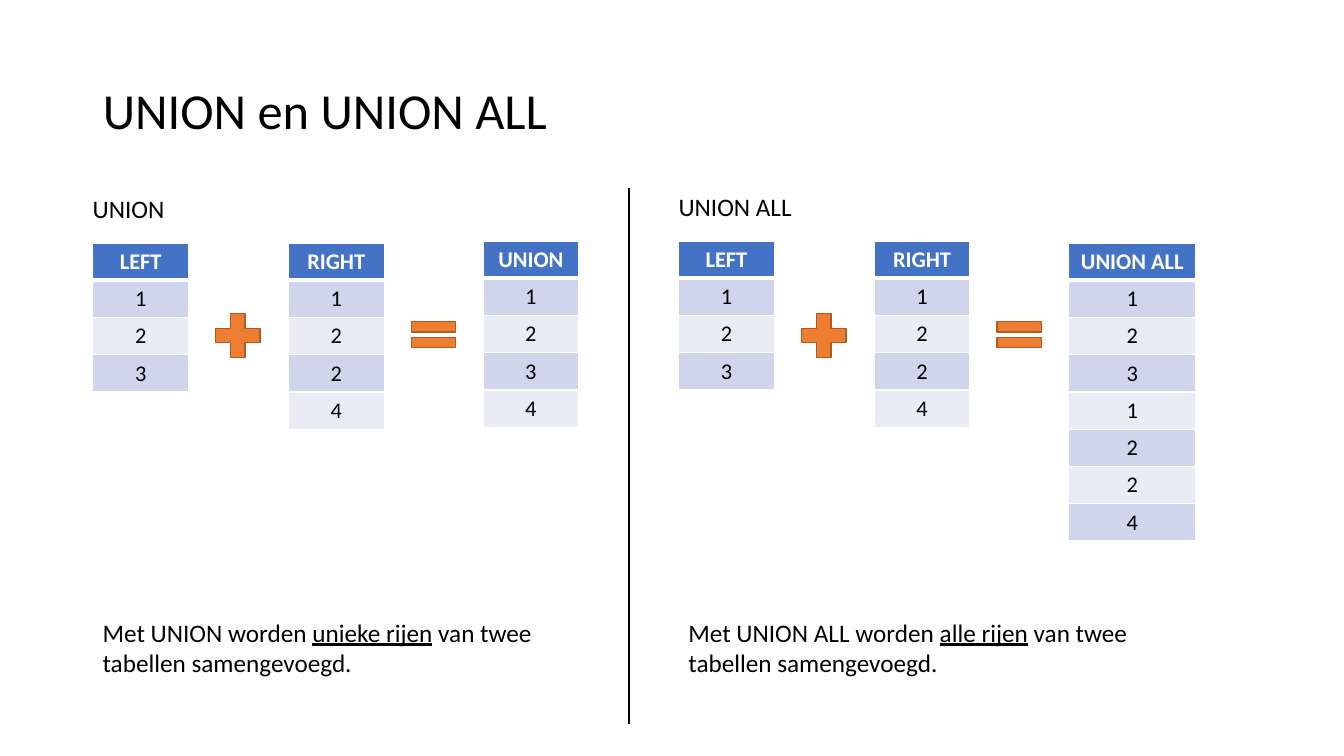
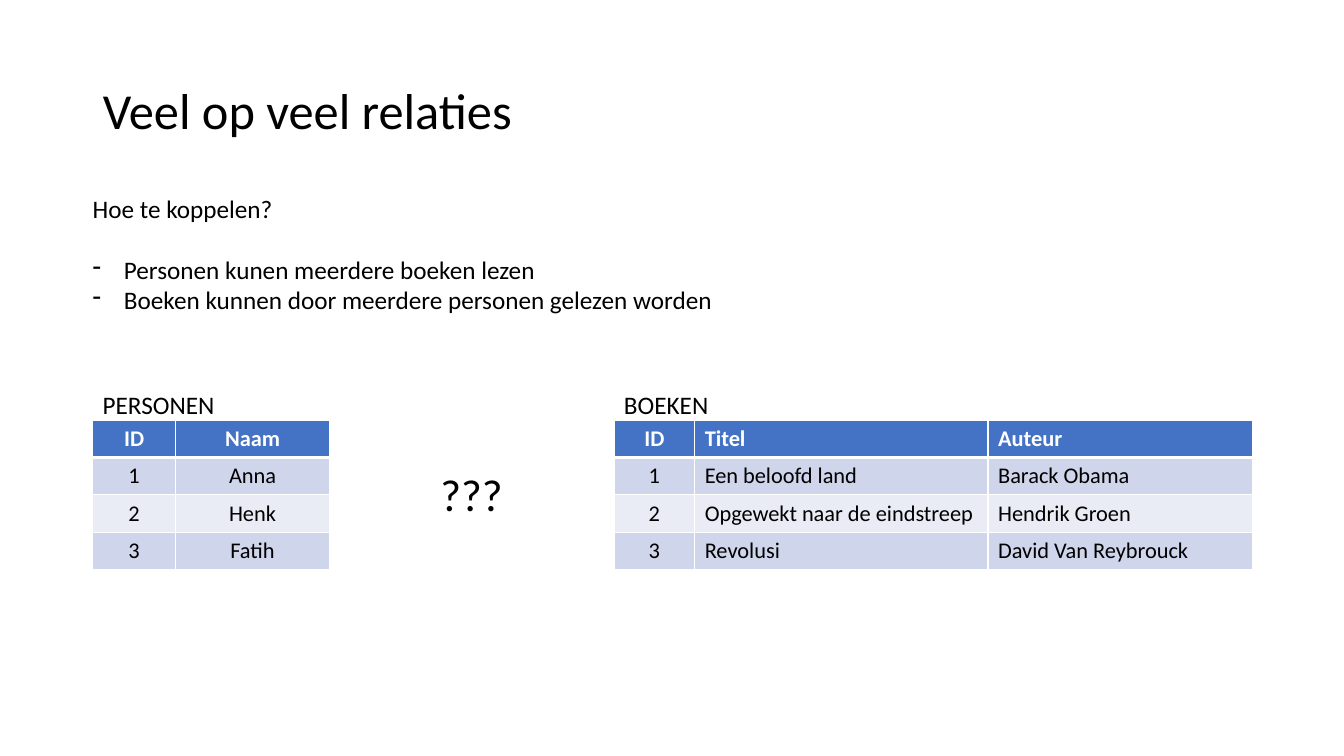
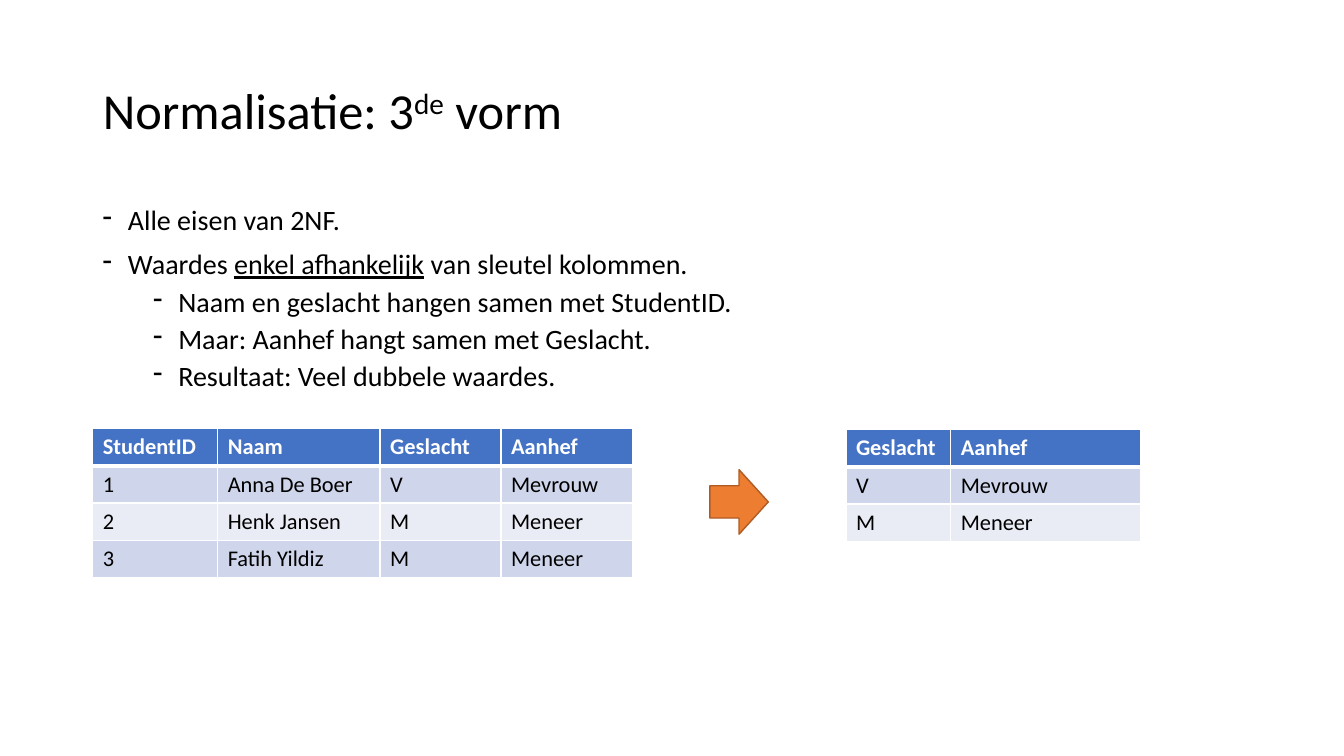
from lxml import etree
from pptx import Presentation
from pptx import util as u
from pptx.dml.color import RGBColor
from pptx.enum import shapes, text
from pptx.oxml import ns

FONT = "Calibri"
BLACK, WHITE = "000000", "FFFFFF"
HEADER, ODD_ROW, EVEN_ROW = "4472C4", "CFD5EA", "E9EBF5"
ORANGE, ORANGE_EDGE = "ED7D31", "AF5C24"
LEFT_EDGE, ROW_HEIGHT = 0.92, 0.37
ALIGN = {"l": text.PP_ALIGN.LEFT, "c": text.PP_ALIGN.CENTER}


def color(hex_value):
    return RGBColor.from_string(hex_value)


def inches(*values):
    return [u.Inches(value) for value in values]


class Deck:
    def __init__(self):
        self.prs = Presentation()
        self.prs.slide_width, self.prs.slide_height = inches(13.33, 7.5)
        self.slide = None

    def style(self, paragraph, size, tint=BLACK, bold=False):
        font = paragraph.font
        font.name, font.size, font.bold = FONT, u.Pt(size), bold
        font.color.rgb = color(tint)

    def add_runs(self, paragraph, parts):
        for part in [parts] if isinstance(parts, str) else parts:
            words, mark = (part, None) if isinstance(part, str) else part
            run = paragraph.add_run()
            run.text = words
            if mark == "underline":
                run.font.underline = True
            elif mark == "superscript":
                run._r.get_or_add_rPr().set("baseline", "30000")

    def add_slide(self, heading):
        self.slide = self.prs.slides.add_slide(self.prs.slide_layouts[5])
        title = self.slide.shapes.title
        title.left, title.top, title.width, title.height = inches(LEFT_EDGE, 0.4, 11.5, 1.45)
        frame = title.text_frame
        frame.word_wrap = True
        frame.auto_size = text.MSO_AUTO_SIZE.NONE
        frame.vertical_anchor = text.MSO_ANCHOR.MIDDLE
        paragraph = frame.paragraphs[0]
        paragraph.alignment = ALIGN["l"]
        paragraph.line_spacing = 0.9
        self.add_runs(paragraph, heading)
        self.style(paragraph, 36)

    def add_frame(self, x, y, width, height, inset=0.1, wrap=True):
        frame = self.slide.shapes.add_textbox(*inches(x, y, width, height)).text_frame
        frame.word_wrap = wrap
        frame.margin_left = frame.margin_right = u.Inches(inset)
        return frame

    def add_text(self, box, parts, size=18, **options):
        frame = self.add_frame(*box, **options)
        self.add_runs(frame.paragraphs[0], parts)
        self.style(frame.paragraphs[0], size)
        return frame

    def add_dash(self, paragraph, parts, size, indent, hang, before=0):
        properties = paragraph._p.get_or_add_pPr()
        properties.set("marL", str(u.Inches(indent)))
        properties.set("indent", str(-u.Inches(hang)))
        if before:
            paragraph.space_before = u.Pt(before)
        etree.SubElement(properties, ns.qn("a:buChar")).set("char", "-")
        self.add_runs(paragraph, parts)
        self.style(paragraph, size)

    def add_borders(self, cell, is_header):
        properties = cell._tc.get_or_add_tcPr()
        for side in "LRTB":
            points = 3 if is_header and side == "B" else 1
            line = etree.SubElement(properties, ns.qn(f"a:ln{side}"), w=str(u.Pt(points)))
            fill = etree.SubElement(line, ns.qn("a:solidFill"))
            etree.SubElement(fill, ns.qn("a:srgbClr"), val=WHITE)

    def add_table(self, x, y, widths, rows, aligns):
        table = self.slide.shapes.add_table(
            len(rows), len(widths), *inches(x, y, sum(widths), ROW_HEIGHT * len(rows))).table
        for column, width in zip(table.columns, widths):
            column.width = u.Inches(width)
        for r, values in enumerate(rows):
            is_header = r == 0
            fill = HEADER if is_header else ODD_ROW if r % 2 else EVEN_ROW
            for c, value in enumerate(values):
                cell = table.cell(r, c)
                self.add_borders(cell, is_header)
                cell.fill.solid()
                cell.fill.fore_color.rgb = color(fill)
                cell.text = value
                paragraph = cell.text_frame.paragraphs[0]
                paragraph.alignment = ALIGN[aligns[c]]
                self.style(paragraph, 16, WHITE if is_header else BLACK, is_header)

    def add_sign(self, kind, x, y, width, height):
        sign = self.slide.shapes.add_shape(kind, *inches(x, y, width, height))
        sign.shadow.inherit = False
        sign.fill.solid()
        sign.fill.fore_color.rgb = color(ORANGE)
        sign.line.color.rgb = color(ORANGE_EDGE)
        sign.line.width = u.Pt(1)

    def add_divider(self, x, top, bottom):
        divider = self.slide.shapes.add_connector(
            shapes.MSO_CONNECTOR.STRAIGHT, *inches(x, top, x, bottom))
        divider.line.color.rgb = color(BLACK)
        divider.line.width = u.Pt(1.5)
        etree.SubElement(divider._element.spPr, ns.qn("a:effectLst"))


def build_union(deck):
    deck.add_slide("UNION en UNION ALL")
    halves = [
        (LEFT_EDGE, 1.87, 2.41, 2.39, "UNION", "1234", 0.95, "unieke rijen", 4.83),
        (6.73, 1.85, 2.39, 2.41, "UNION ALL", "1231224", 1.26, "alle rijen", 5.14),
    ]
    for x, label_y, input_y, result_y, name, result, result_width, kept, note_width in halves:
        deck.add_text((x, label_y, 4.83, 0.4), name, inset=0)
        tables = [
            (0, input_y, 0.95, "LEFT", "123"),
            (1.94, input_y, 0.95, "RIGHT", "1224"),
            (3.87, result_y, result_width, name, result),
        ]
        for offset, y, width, header, values in tables:
            deck.add_table(x + offset, y, [width], [[header], *values], "c")
        deck.add_sign(shapes.MSO_SHAPE.MATH_PLUS, x + 1.14, 3.03, 0.6, 0.6)
        deck.add_sign(shapes.MSO_SHAPE.MATH_EQUAL, x + 3.08, 3.1, 0.6, 0.44)
        note = [f"Met {name} worden ", (kept, "underline"), " van twee tabellen samengevoegd."]
        deck.add_text((x, 6.07, note_width, 0.71), note)
    deck.add_divider(6.24, 1.87, 7.18)


def build_relations(deck):
    deck.add_slide("Veel op veel relaties")
    question = deck.add_text((LEFT_EDGE, 1.87, 11.5, 1.31), "Hoe te koppelen?", inset=0)
    facts = [
        ("Personen kunen meerdere boeken lezen", 22),
        ("Boeken kunnen door meerdere personen gelezen worden", 0),
    ]
    for fact, before in facts:
        deck.add_dash(question.add_paragraph(), fact, 18, 0.31, 0.31, before)
    persons = [("ID", "Naam"), ("1", "Anna"), ("2", "Henk"), ("3", "Fatih")]
    books = [
        ("ID", "Titel", "Auteur"),
        ("1", "Een beloofd land", "Barack Obama"),
        ("2", "Opgewekt naar de eindstreep", "Hendrik Groen"),
        ("3", "Revolusi", "David Van Reybrouck"),
    ]
    deck.add_table(LEFT_EDGE, 4.17, [0.82, 1.53], persons, "cc")
    deck.add_table(6.09, 4.17, [0.8, 2.91, 2.62], books, "cll")
    deck.add_text((4.27, 4.58, 0.83, 0.64), "???", 32, wrap=False)
    deck.add_text((LEFT_EDGE, 3.81, 1.32, 0.4), "PERSONEN", wrap=False)
    deck.add_text((6.09, 3.81, 1.05, 0.4), "BOEKEN", wrap=False)


def build_normal_form(deck):
    deck.add_slide(["Normalisatie: 3", ("de", "superscript"), " vorm"])
    rules = deck.add_frame(LEFT_EDGE, 2, 11.5, 2.2)
    lines = [
        (0, "Alle eisen van 2NF."),
        (0, ["Waardes ", ("enkel afhankelijk", "underline"), " van sleutel kolommen."]),
        (1, "Naam en geslacht hangen samen met StudentID."),
        (1, "Maar: Aanhef hangt samen met Geslacht."),
        (1, "Resultaat: Veel dubbele waardes."),
    ]
    for i, (level, line) in enumerate(lines):
        paragraph = rules.add_paragraph() if i else rules.paragraphs[0]
        paragraph.level = level
        paragraph.line_spacing = 0.9
        before = (5 if level else 10) if i else 0
        deck.add_dash(paragraph, line, 20, 0.25 + 0.5 * level, 0.25, before)
    students = [
        ("StudentID", "Naam", "Geslacht", "Aanhef"),
        ("1", "Anna De Boer", "V", "Mevrouw"),
        ("2", "Henk Jansen", "M", "Meneer"),
        ("3", "Fatih Yildiz", "M", "Meneer"),
    ]
    salutations = [("Geslacht", "Aanhef"), ("V", "Mevrouw"), ("M", "Meneer")]
    deck.add_table(LEFT_EDGE, 4.25, [1.24, 1.61, 1.2, 1.3], students, "llll")
    deck.add_table(8.39, 4.26, [1.04, 1.88], salutations, "ll")
    deck.add_sign(shapes.MSO_SHAPE.RIGHT_ARROW, 7.04, 4.66, 0.58, 0.64)


def main():
    deck = Deck()
    build_union(deck)
    build_relations(deck)
    build_normal_form(deck)
    deck.prs.save("out.pptx")


if __name__ == "__main__":
    main()
